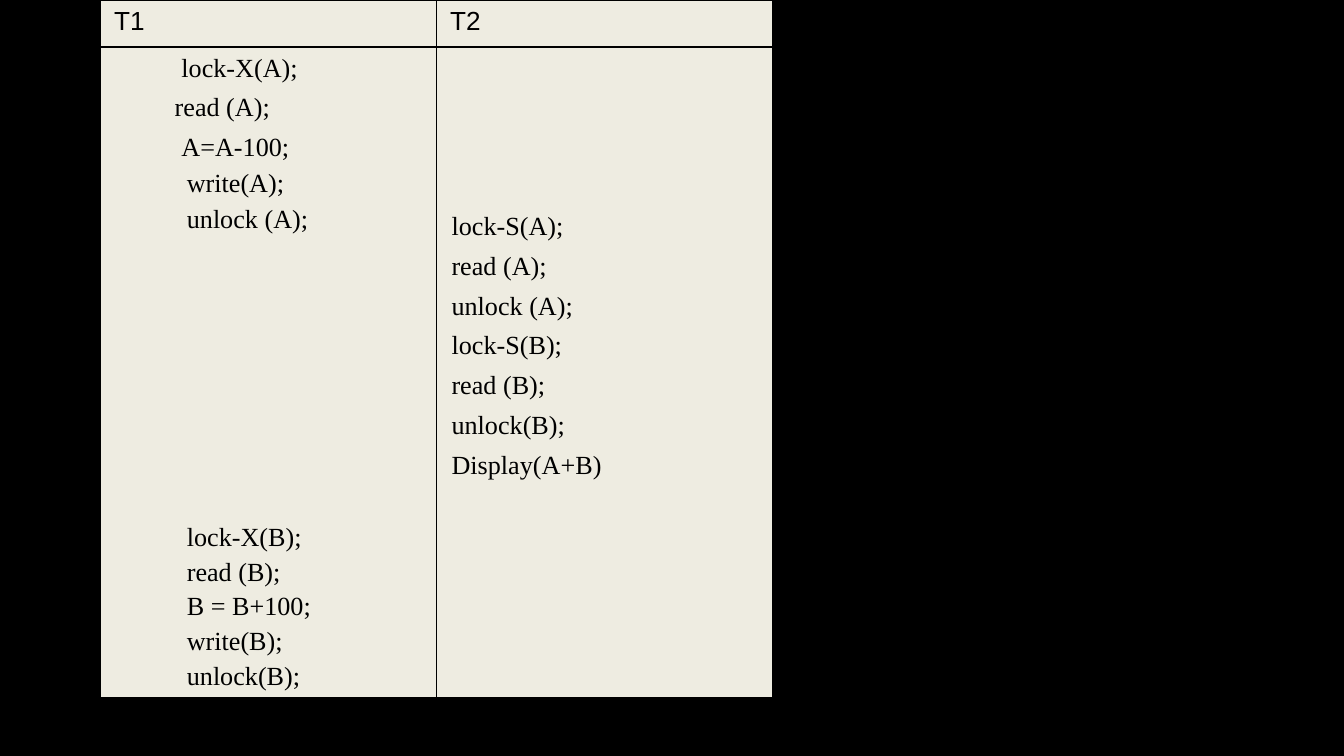
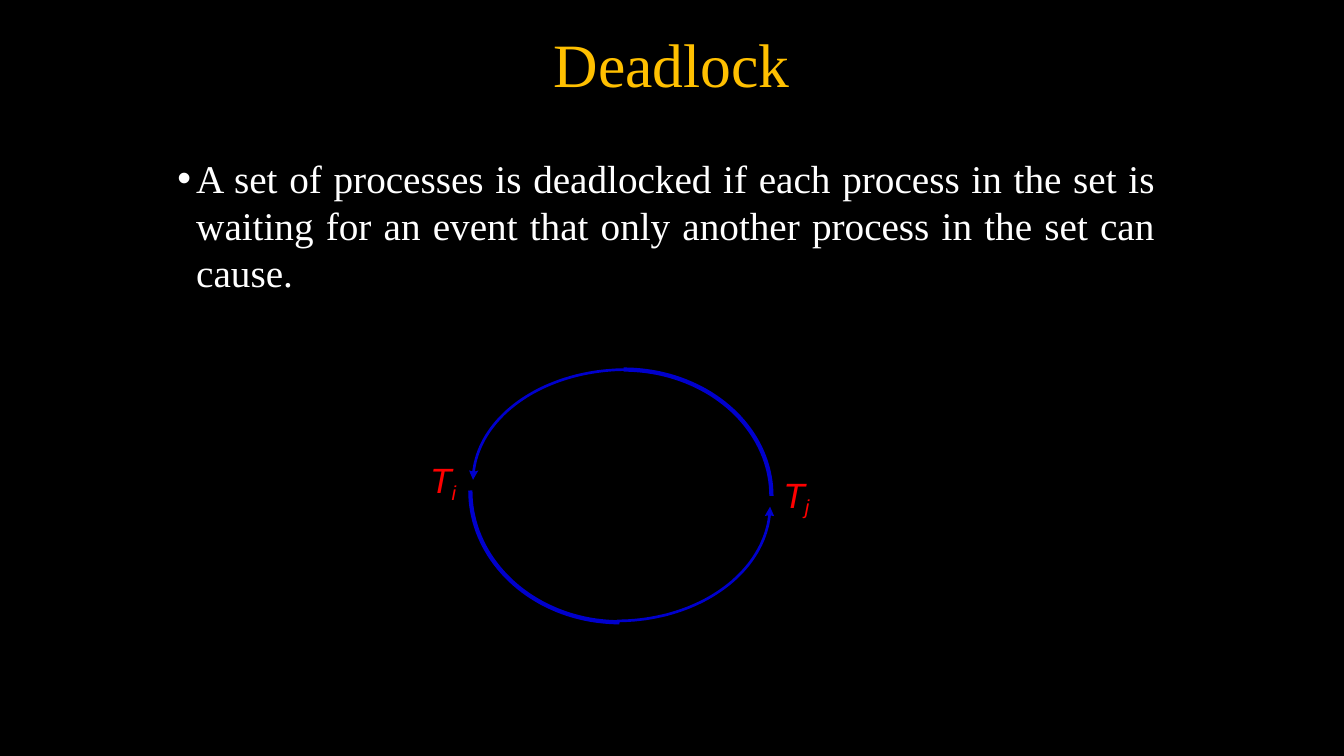
import dataclasses
import math
import pptx
import pptx.dml.color
import pptx.enum.text
import pptx.oxml
import pptx.oxml.ns
import pptx.util

Inches = pptx.util.Inches
Pt = pptx.util.Pt
Rgb = pptx.dml.color.RGBColor.from_string
Align = pptx.enum.text.PP_ALIGN
Anchor = pptx.enum.text.MSO_ANCHOR
Fit = pptx.enum.text.MSO_AUTO_SIZE


@dataclasses.dataclass(frozen=True)
class Theme:
    back: str = "000000"
    cell: str = "EEECE1"
    ink: str = "000000"
    head: str = "FFC000"
    text: str = "FFFFFF"
    ring: str = "0000CC"
    mark: str = "FF0000"
    serif: str = "Times New Roman"
    sans: str = "Arial"
    code: float = 14
    title: float = 33
    body: float = 21
    label: float = 18.8
    sub: float = 18.6


THEME = Theme()

HEADS = ["T1", "T2"]
FIRST = [
    ("lock-X(A);", 0.5, 1, 0),
    ("read (A);", 0.45, 1, 5.8),
    ("A=A-100;", 0.5, 1, 5.8),
    ("write(A);", 0.54, 1.2, 0.7),
    ("unlock (A);", 0.54, 1.2, 0.7),
    ("lock-X(B);", 0.54, 1.2, 151.8),
    ("read (B);", 0.54, 1.2, 0),
    ("B = B+100;", 0.54, 1.2, 0),
    ("write(B);", 0.54, 1.2, 0),
    ("unlock(B);", 0.54, 1.2, 0),
]
OTHER = [
    (line, 0.01, 1, 5.8 if spot else 0)
    for spot, line in enumerate(
        ["lock-S(A);", "read (A);", "unlock (A);", "lock-S(B);",
         "read (B);", "unlock(B);", "Display(A+B)"]
    )
]
CLAIM = (
    "A set of processes is deadlocked if each process in the set is waiting "
    "for an event that only another process in the set can cause."
)


def put(item, **form):
    for key, value in form.items():
        setattr(item, key, value)


def write(para, text, face, size, color, **form):
    run = para.add_run()
    run.text = text
    put(run.font, name=face, size=Pt(size), **form)
    run.font.color.rgb = Rgb(color)
    return run


def indent(para, left, first=0):
    props = para._p.get_or_add_pPr()
    props.set("marL", str(Inches(left)))
    props.set("indent", str(Inches(first)))
    return props


def add(props, xml):
    space = pptx.oxml.ns.nsdecls("a")
    props.append(pptx.oxml.parse_xml(xml.replace("@", space, 1)))


def place(shape, box):
    names = ("left", "top", "width", "height")
    put(shape, **{key: Inches(size) for key, size in zip(names, box)})


def frame(shape, **form):
    base = dict(
        margin_left=0, margin_top=Inches(0.01), margin_right=0,
        margin_bottom=0, word_wrap=True, auto_size=Fit.NONE,
    )
    put(shape.text_frame, **{**base, **form})
    return shape.text_frame.paragraphs[0]


def paint(cell):
    props = cell._tc.get_or_add_tcPr()
    for side in "LRTB":
        add(props, f'<a:ln{side} @ w="{Pt(0.75)}"><a:solidFill>'
                   f'<a:srgbClr val="{THEME.ink}"/></a:solidFill></a:ln{side}>')
    cell.fill.solid()
    cell.fill.fore_color.rgb = Rgb(THEME.cell)


def fill_code(cell, lines, top):
    put(cell, margin_top=Inches(top), margin_bottom=Inches(0.02))
    body = cell.text_frame
    for spot, (text, left, pitch, gap) in enumerate(lines):
        para = body.add_paragraph() if spot else body.paragraphs[0]
        indent(para, left)
        put(para, line_spacing=pitch, space_before=Pt(gap))
        write(para, text, THEME.serif, THEME.code, THEME.ink)


def draw_table(slide, box):
    sizes = [Inches(part) for part in box]
    table = slide.shapes.add_table(2, 2, *sizes).table
    put(table, first_row=False, horz_banding=False)
    for row, high in zip(table.rows, (0.35, box[3] - 0.35)):
        row.height = Inches(high)
    for col, head in enumerate(HEADS):
        para = table.cell(0, col).text_frame.paragraphs[0]
        write(para, head, THEME.sans, THEME.code, THEME.ink)
    fill_code(table.cell(1, 0), FIRST, 0.05)
    fill_code(table.cell(1, 1), OTHER, 1.23)
    for cell in table.iter_cells():
        paint(cell)


def draw_title(slide, box):
    shape = slide.shapes.title
    place(shape, box)
    para = frame(shape, vertical_anchor=Anchor.MIDDLE)
    para.alignment = Align.CENTER
    write(para, "Deadlock", THEME.serif, THEME.title, THEME.head)


def draw_body(slide, box):
    shape = slide.placeholders[1]
    place(shape, box)
    para = frame(shape, margin_right=Inches(0.08), vertical_anchor=Anchor.TOP)
    put(para, alignment=Align.JUSTIFY, line_spacing=1.0, space_before=Pt(0))
    props = indent(para, 0.15, -0.14)
    add(props, '<a:buChar @ char="•"/>')
    add(props, f'<a:tabLst @><a:tab pos="{Inches(0.15)}" algn="l"/></a:tabLst>')
    write(para, CLAIM, THEME.serif, THEME.body, THEME.text)


def arc(mid, radii, start, stop, steps=40):
    turns = [math.radians(start + (stop - start) * n / steps)
             for n in range(steps + 1)]
    return [(mid[0] + radii[0] * math.cos(turn),
             mid[1] + radii[1] * math.sin(turn)) for turn in turns]


def arrow(mid, high, sign):
    turn = 0 if sign > 0 else 180
    outer = arc(mid, (1.15, high), 270 - turn, 185 - turn)
    inner = arc(mid, (1.13, high - 0.02), 185 - turn, 270 - turn)
    tip = [(mid[0] - sign * across, mid[1] - sign * down)
           for across, down in ((1.17, 0.08), (1.14, 0.01), (1.1, 0.08))]
    return outer + tip + inner


def trace(slide, box, paths, close):
    paths = [[(Inches(x), Inches(y)) for x, y in dots] for dots in paths]
    pen = slide.shapes.build_freeform(*paths[0][0], scale=1.0)
    for spot, dots in enumerate(paths):
        if spot:
            pen.move_to(*dots[0])
        pen.add_line_segments(dots[1:], close=close)
    shape = pen.convert_to_shape(Inches(box[0]), Inches(box[1]))
    shape.shadow.inherit = False
    return shape


def draw_ring(slide, box):
    bends = [arc((1.15, 0.95), (1.1, 0.94), -90, 0),
             arc((1.12, 0.91), (1.11, 0.98), 90, 180)]
    bend = trace(slide, box, bends, False)
    bend.fill.background()
    bend.line.color.rgb = Rgb(THEME.ring)
    bend.line.width = Pt(2.28)
    heads = [arrow((1.17, 0.84), 0.84, 1), arrow((1.1, 1.02), 0.87, -1)]
    head = trace(slide, box, heads, True)
    head.fill.solid()
    head.fill.fore_color.rgb = Rgb(THEME.ring)
    head.line.fill.background()


def draw_label(slide, box, sub):
    shape = slide.shapes.add_textbox(*[Inches(part) for part in box])
    para = frame(shape)
    indent(para, 0.03)
    for text, size, extra in (
        ("T", THEME.label, {"spc": "-80"}),
        (sub, THEME.sub, {"spc": "-120", "baseline": "-20000"}),
    ):
        run = write(para, text, THEME.sans, size, THEME.mark, italic=True)
        for key, value in extra.items():
            run._r.get_or_add_rPr().set(key, value)


def make_locks(deck):
    slide = deck.slides.add_slide(deck.slide_layouts[6])
    draw_table(slide, (0.75, 0, 5, 5.19))


def make_dead(deck):
    slide = deck.slides.add_slide(deck.slide_layouts[1])
    draw_title(slide, (4.11, 0.18, 1.78, 0.57))
    draw_body(slide, (1.31, 1.14, 7.37, 1.07))
    draw_ring(slide, (3.49, 2.74))
    draw_label(slide, (3.17, 3.4, 0.24, 0.33), "i")
    draw_label(slide, (5.8, 3.51, 0.24, 0.33), "j")


def main():
    deck = pptx.Presentation()
    wide = Inches(10)
    put(deck, slide_width=wide, slide_height=wide * 9 // 16)
    back = deck.slide_master.background.fill
    back.solid()
    back.fore_color.rgb = Rgb(THEME.back)
    make_locks(deck)
    make_dead(deck)
    deck.save("out.pptx")


if __name__ == "__main__":
    main()
